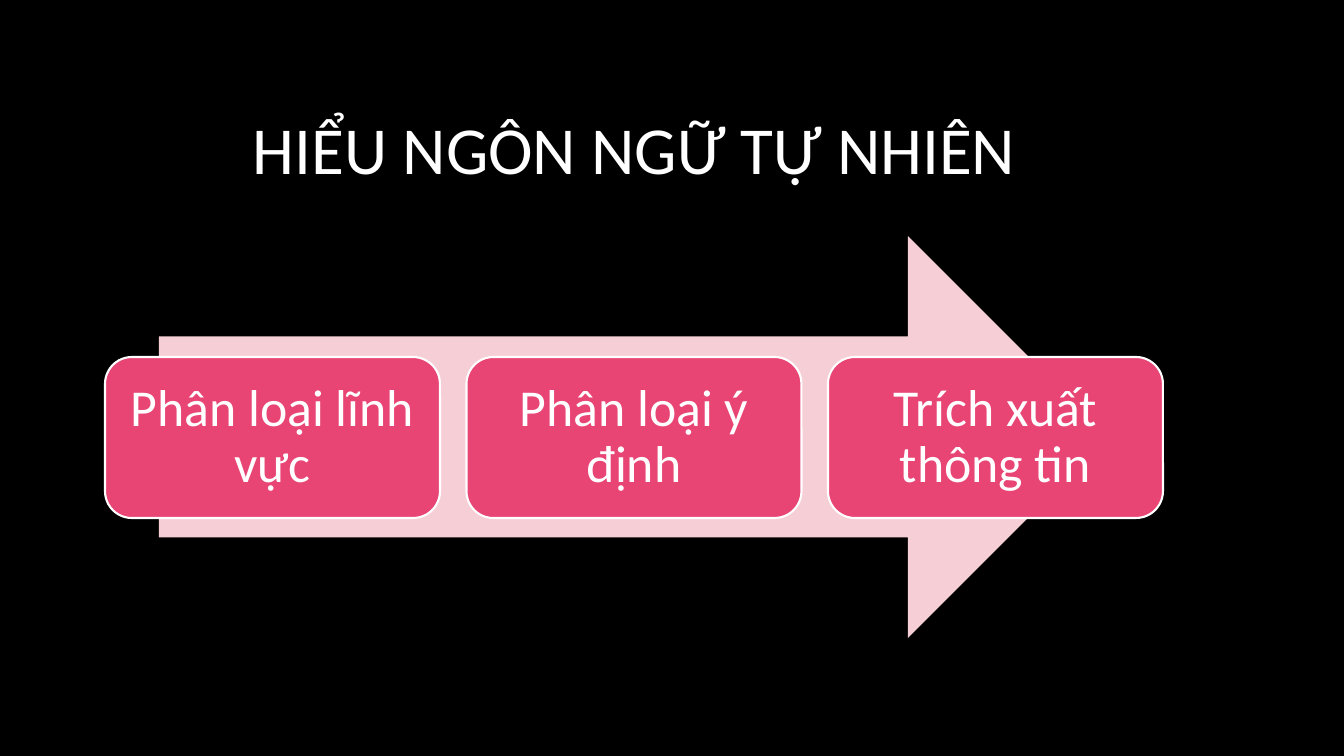
from dataclasses import dataclass

from pptx import Presentation
from pptx.dml.color import RGBColor
from pptx.enum.shapes import MSO_SHAPE as SHAPE
from pptx.enum.text import MSO_ANCHOR as ANCHOR, PP_ALIGN as ALIGN
from pptx.util import Pt

# Content
TITLE = "HIỂU NGÔN NGỮ TỰ NHIÊN"
STEPS = ["Phân loại lĩnh vực", "Phân loại ý định", "Trích xuất thông tin"]

# Layout in px: left, top, width, height
SLIDE_W, SLIDE_H = 1344, 756
TITLE_BOX = (76, 68, 1117, 160)
ARROW_BOX = (159, 236, 950, 402)
STEPS_ROW = (105, 357, 1058, 161)
STEP_W = 335
TITLE_INSET, STEP_INSET = 10, 15


@dataclass(frozen=True)
class Theme:
    font: str = "Calibri"
    background: str = "000000"
    text: str = "FFFFFF"
    arrow: str = "F6CFD6"
    step: str = "E84574"
    title_size: int = 48
    step_size: int = 37
    outline: float = 1.5


THEME = Theme()


def px(value):
    return round(value * 914400 / 100.8)


def rgb(code):
    return RGBColor.from_string(code)


def write(sp, text, *, size, inset, spacing=1.0):
    tf = sp.text_frame
    tf.word_wrap = True
    tf.vertical_anchor = ANCHOR.MIDDLE
    tf.margin_left = tf.margin_right = px(inset)
    tf.margin_top = tf.margin_bottom = px(inset)
    p = tf.paragraphs[0]
    p.alignment = ALIGN.CENTER
    p.line_spacing = spacing
    r = p.add_run()
    r.text = text
    r.font.name = THEME.font
    r.font.size = Pt(size)
    r.font.color.rgb = rgb(THEME.text)


def add_block(s, kind, box, fill, line=None):
    sp = s.shapes.add_shape(kind, *map(px, box))
    sp.shadow.inherit = False
    sp.fill.solid()
    sp.fill.fore_color.rgb = rgb(fill)
    if line:
        sp.line.color.rgb = rgb(line)
        sp.line.width = Pt(THEME.outline)
    else:
        sp.line.fill.background()
    return sp


def main():
    prs = Presentation()
    prs.slide_width, prs.slide_height = px(SLIDE_W), px(SLIDE_H)
    s = prs.slides.add_slide(prs.slide_layouts[6])
    s.background.fill.solid()
    s.background.fill.fore_color.rgb = rgb(THEME.background)

    # Title
    title = s.shapes.add_textbox(*map(px, TITLE_BOX))
    write(title, TITLE, size=THEME.title_size, inset=TITLE_INSET)

    # Arrow behind the steps
    add_block(s, SHAPE.RIGHT_ARROW, ARROW_BOX, THEME.arrow)

    # Steps spread evenly along the row
    left, top, width, height = STEPS_ROW
    pitch = (width - STEP_W) / (len(STEPS) - 1)
    for i, step in enumerate(STEPS):
        box = (left + i * pitch, top, STEP_W, height)
        sp = add_block(s, SHAPE.ROUNDED_RECTANGLE, box, THEME.step, THEME.text)
        write(sp, step, size=THEME.step_size, inset=STEP_INSET, spacing=0.9)

    prs.save("out.pptx")


if __name__ == "__main__":
    main()
